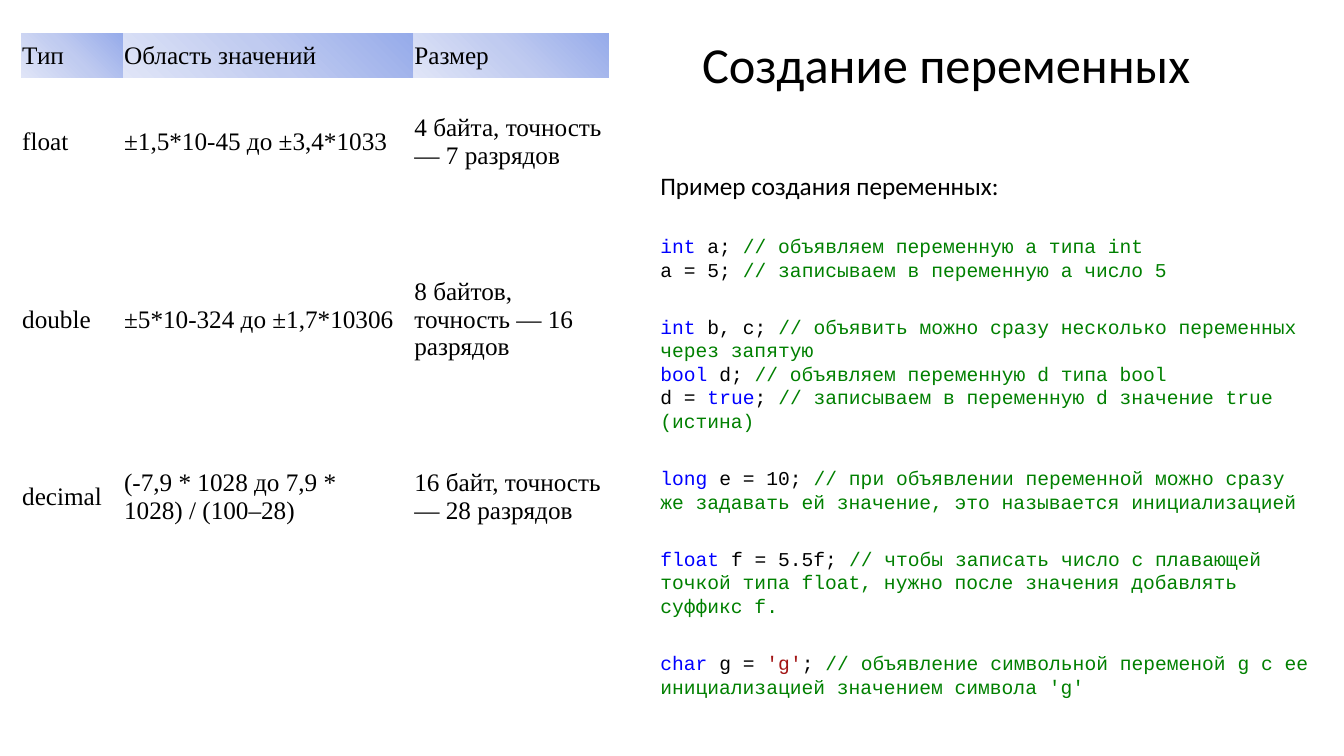
from copy import deepcopy
from dataclasses import dataclass

from pptx import Presentation
from pptx.dml.color import RGBColor
from pptx.enum.text import MSO_ANCHOR, PP_ALIGN
from pptx.oxml.ns import qn
from pptx.slide import Slide
from pptx.table import _Cell
from pptx.text.text import TextFrame, _Run
from pptx.util import Inches, Pt

SLIDE_WIDTH = Inches(13.33)
SLIDE_HEIGHT = Inches(7.5)


@dataclass(frozen=True)
class Theme:
    text: str = "000000"
    keyword: str = "0000FF"
    comment: str = "008000"
    literal: str = "A31515"
    header_gradient: tuple[str, ...] = ("96ABEA", "C0CBF0", "E0E5F7")
    body_font: str = "Calibri"
    code_font: str = "Courier New"
    table_font: str = "Times New Roman"
    title_size: int = 36
    body_size: int = 18
    code_size: int = 14
    block_gap: int = 24


@dataclass(frozen=True)
class Area:
    left: float
    top: float
    width: float
    height: float


@dataclass(frozen=True)
class Token:
    text: str
    color: str


@dataclass(frozen=True)
class CodeLine:
    tokens: tuple[Token, ...]
    opens_block: bool = False


THEME = Theme()
TITLE_AREA = Area(43.06, 2.93, 54.69, 12)
TABLE_AREA = Area(1.58, 4.4, 43.73, 69.88)
CODE_AREA = Area(48.39, 21.87, 50.04, 68.67)
COLUMN_SHARES = (7.58, 21.6, 14.55)
HEADER_SHARE, TYPE_SHARE, SPACER_SHARE = 5.87, 17.07, 6.4
NO_GRID_STYLE = "{2D5ABB26-0587-4C30-8999-92F81FD0307C}"

HEADER = ("Тип", "Область значений", "Размер")
TYPES = (
    ("float", "±1,5*10-45 до ±3,4*1033", "4 байта, точность — 7 разрядов"),
    ("double", "±5*10-324 до ±1,7*10306", "8 байтов, точность — 16 разрядов"),
    ("decimal", "(-7,9 * 1028 до 7,9 * 1028) / (100–28)", "16 байт, точность — 28 разрядов"),
)


def plain(text: str) -> Token:
    return Token(text, THEME.text)


def keyword(text: str) -> Token:
    return Token(text, THEME.keyword)


def comment(text: str) -> Token:
    return Token("// " + text, THEME.comment)


CODE = (
    CodeLine((keyword("int"), plain(" a; "), comment("объявляем переменную a типа int")), True),
    CodeLine((plain("a = 5; "), comment("записываем в переменную a число 5"))),
    CodeLine((keyword("int"), plain(" b, c; "),
              comment("объявить можно сразу несколько переменных через запятую")), True),
    CodeLine((keyword("bool"), plain(" d; "), comment("объявляем переменную d типа bool"))),
    CodeLine((plain("d = "), keyword("true"), plain("; "),
              comment("записываем в переменную d значение true (истина)"))),
    CodeLine((keyword("long"), plain(" e = 10; "),
              comment("при объявлении переменной можно сразу же задавать ей значение, "
                      "это называется инициализацией")), True),
    CodeLine((keyword("float"), plain(" f = 5.5f; "),
              comment("чтобы записать число с плавающей точкой типа float, "
                      "нужно после значения добавлять суффикс f.")), True),
    CodeLine((keyword("char"), plain(" g = "), Token("'g'", THEME.literal), plain("; "),
              comment("объявление символьной переменой g с ее инициализацией "
                      "значением символа 'g'")), True),
)


def across(share: float) -> int:
    return round(SLIDE_WIDTH * share / 100)


def down(share: float) -> int:
    return round(SLIDE_HEIGHT * share / 100)


def place(area: Area) -> tuple[int, int, int, int]:
    return across(area.left), down(area.top), across(area.width), down(area.height)


def format_run(run: _Run, font: str, size: int, color: str = THEME.text) -> None:
    run.font.name = font
    run.font.size = Pt(size)
    run.font.color.rgb = RGBColor.from_string(color)


def add_text_frame(slide: Slide, area: Area) -> TextFrame:
    text_frame = slide.shapes.add_textbox(*place(area)).text_frame
    text_frame.word_wrap = True
    return text_frame


def add_title(slide: Slide) -> None:
    text_frame = add_text_frame(slide, TITLE_AREA)
    text_frame.vertical_anchor = MSO_ANCHOR.MIDDLE
    text_frame.text = "Создание переменных"
    paragraph = text_frame.paragraphs[0]
    paragraph.alignment = PP_ALIGN.CENTER
    paragraph.line_spacing = 0.9
    format_run(paragraph.runs[0], THEME.body_font, THEME.title_size)


def fill_header(cell: _Cell) -> None:
    cell.fill.gradient()
    cell.fill.gradient_angle = 225
    stop_list = cell._tc.tcPr.find(".//" + qn("a:gsLst"))
    stop_list.append(deepcopy(stop_list[0]))
    last = len(THEME.header_gradient) - 1
    for index, (stop, color) in enumerate(zip(cell.fill.gradient_stops, THEME.header_gradient)):
        stop.position = index / last
        stop.color.rgb = RGBColor.from_string(color)


def fill_cell(cell: _Cell, text: str, is_header: bool) -> None:
    cell.margin_left = cell.margin_right = cell.margin_top = cell.margin_bottom = Inches(0.01)
    cell.vertical_anchor = MSO_ANCHOR.MIDDLE
    if is_header:
        fill_header(cell)
    else:
        cell.fill.background()
    if text:
        cell.text_frame.text = text
        format_run(cell.text_frame.paragraphs[0].runs[0], THEME.table_font, THEME.body_size)


def add_type_table(slide: Slide) -> None:
    spacer = ("",) * len(HEADER)
    rows = [(HEADER, HEADER_SHARE)]
    for index, values in enumerate(TYPES):
        if index:
            rows.append((spacer, SPACER_SHARE))
        rows.append((values, TYPE_SHARE))
    table = slide.shapes.add_table(len(rows), len(HEADER), *place(TABLE_AREA)).table
    table.first_row = table.horz_banding = False
    table._tbl.tblPr.find(qn("a:tableStyleId")).text = NO_GRID_STYLE
    for column, share in zip(table.columns, COLUMN_SHARES):
        column.width = across(share)
    for row_index, (values, share) in enumerate(rows):
        table.rows[row_index].height = down(share)
        for column_index, text in enumerate(values):
            fill_cell(table.cell(row_index, column_index), text, row_index == 0)


def add_code(slide: Slide) -> None:
    text_frame = add_text_frame(slide, CODE_AREA)
    text_frame.text = "Пример создания переменных:"
    format_run(text_frame.paragraphs[0].runs[0], THEME.body_font, THEME.body_size)
    for line in CODE:
        paragraph = text_frame.add_paragraph()
        if line.opens_block:
            paragraph.space_before = Pt(THEME.block_gap)
        for token in line.tokens:
            run = paragraph.add_run()
            run.text = token.text
            format_run(run, THEME.code_font, THEME.code_size, token.color)


def main() -> None:
    presentation = Presentation()
    presentation.slide_width = SLIDE_WIDTH
    presentation.slide_height = SLIDE_HEIGHT
    slide = presentation.slides.add_slide(presentation.slide_layouts[6])
    add_title(slide)
    add_type_table(slide)
    add_code(slide)
    presentation.save("out.pptx")


if __name__ == "__main__":
    main()
